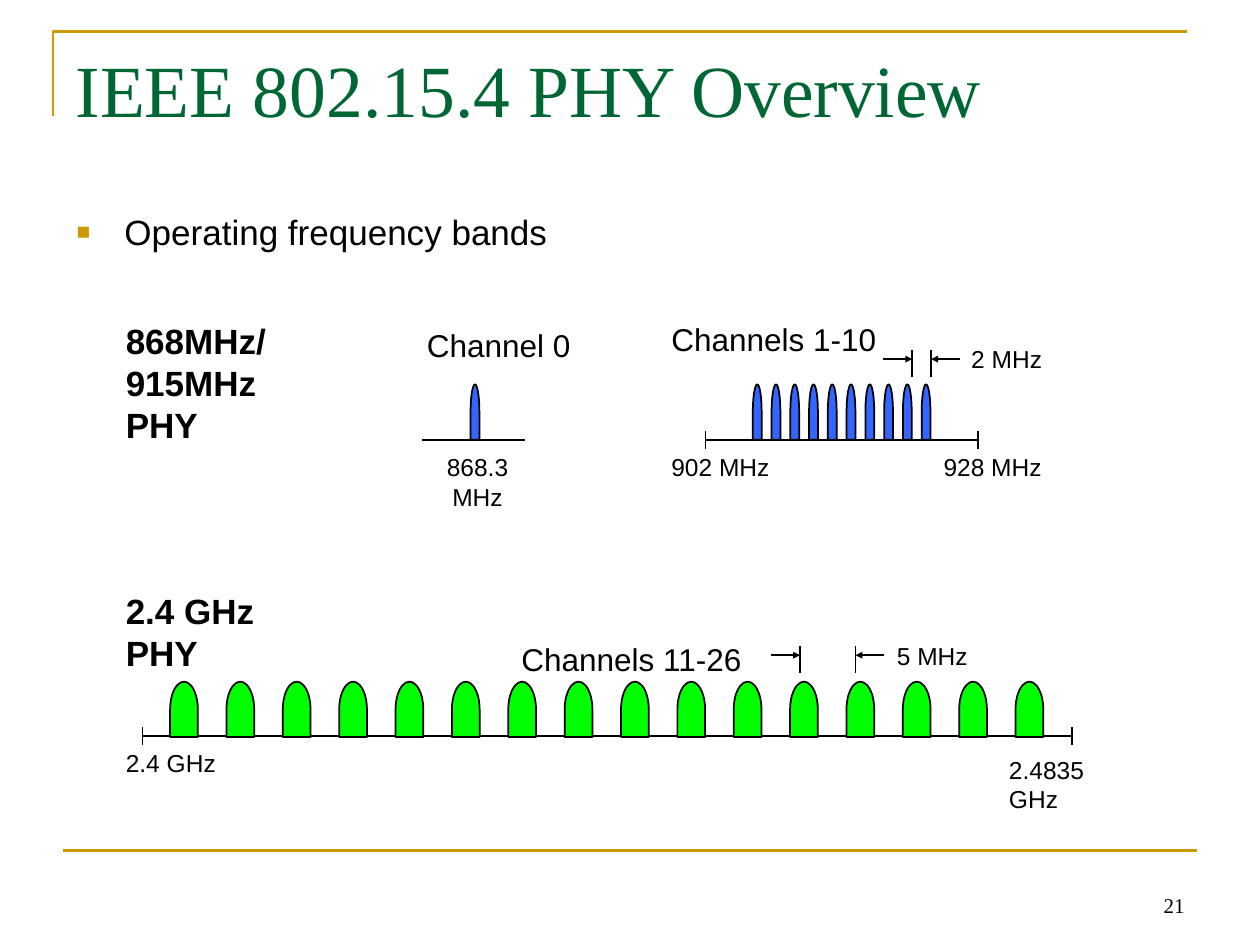
from lxml.etree import SubElement as Sub
from pptx import Presentation
from pptx.dml.color import RGBColor as RGB
from pptx.enum.shapes import MSO_CONNECTOR as CONN, MSO_SHAPE as SHAPE
from pptx.enum.text import MSO_ANCHOR as ANCHOR, PP_ALIGN as ALIGN
from pptx.oxml.ns import qn
from pptx.util import Inches, Pt

THEME = {
    "ink": "000000", "gold": "CC9900", "title": "006633",
    "low": "3366FF", "high": "00FF00",
    "sans": "Arial", "serif": "Times New Roman",
    "head": 42, "body": 20, "band": 18, "note": 14, "page": 12,
    "thin": 1, "rule": 1.5,
}

TITLE = "IEEE 802.15.4 PHY Overview"
POINT = "Operating frequency bands"
NAMES = [
    ("868MHz/\n915MHz\nPHY", (0.9, 2.49, 2.83, 1.1)),
    ("2.4 GHz\nPHY", (0.9, 4.63, 1.27, 0.77)),
]
BANDS = [
    ("Channel 0", (3.29, 2.54, 1.4, 0.4)),
    ("Channels 1-10", (5.23, 2.49, 1.9, 0.4)),
    ("Channels 11-26", (4.04, 5.03, 2.05, 0.4)),
]
NOTES = [
    ("902 MHz", (5.23, 3.54, 1.1, 0.33)),
    ("928 MHz", (7.39, 3.54, 1.1, 0.33)),
    ("2 MHz", (7.61, 2.68, 0.9, 0.33)),
    ("2.4 GHz", (0.9, 5.89, 1.05, 0.33)),
    ("5 MHz", (7.02, 5.04, 0.9, 0.33)),
    ("2.4835 GHz", (7.91, 5.94, 1.1, 0.56)),
]
AXES = [(3.35, 4.17, 3.49, False), (5.6, 7.76, 3.49, True), (1.13, 8.51, 5.84, True)]
PEAKS = [
    (1, 3.77, 3.77, 3.27, 0.07, "low"),
    (10, 6.01, 7.35, 3.27, 0.07, "low"),
    (16, 1.46, 8.17, 5.63, 0.22, "high"),
]
GAPS = [(7.24, 7.39, 2.85), (6.35, 6.79, 5.2)]
TALL, TICK, REACH = 0.44, 0.07, 0.23


def tint(name):
    return RGB.from_string(THEME[name])


def place(shape, box):
    for key, val in zip(("left", "top", "width", "height"), box):
        setattr(shape, key, Inches(val))


def write(shape, text, size, align=ALIGN.LEFT, face="sans",
          color="ink", bold=False, anchor=ANCHOR.TOP):
    frame = shape.text_frame
    frame.text = text
    for key, val in {"word_wrap": True, "vertical_anchor": anchor}.items():
        setattr(frame, key, val)
    form = {"name": THEME[face], "size": Pt(THEME[size]), "bold": bold}
    for para in frame.paragraphs:
        para.alignment = align
        for run in para.runs:
            for key, val in form.items():
                setattr(run.font, key, val)
            run.font.color.rgb = tint(color)


def label(slide, text, box, size, **form):
    shape = slide.shapes.add_textbox(*map(Inches, box))
    write(shape, text, size, **form)
    return shape


def line(slide, x1, y1, x2, y2, color="ink", width="thin", arrow=False):
    item = slide.shapes.add_connector(CONN.STRAIGHT, *map(Inches, (x1, y1, x2, y2)))
    item.line.color.rgb = tint(color)
    item.line.width = Pt(THEME[width])
    props = item._element.spPr
    if arrow:
        Sub(props.find(qn("a:ln")), qn("a:tailEnd"), type="triangle", w="sm", len="sm")
    Sub(props, qn("a:effectLst"))


def peak(slide, mid, level, wide, color):
    box = (mid - TALL / 2, level - wide / 2, TALL, wide)
    shape = slide.shapes.add_shape(SHAPE.FLOWCHART_DELAY, *map(Inches, box))
    shape.rotation = 270
    shape.shadow.inherit = False
    shape.fill.solid()
    shape.fill.fore_color.rgb = tint(color)
    shape.line.color.rgb = tint("ink")
    shape.line.width = Pt(THEME["thin"])


def frame(slide):
    build = slide.shapes.build_freeform(Inches(0.42), Inches(0.92))
    build.add_line_segments(
        [(Inches(0.42), Inches(0.25)), (Inches(9.42), Inches(0.25))], close=False)
    edge = build.convert_to_shape()
    edge.shadow.inherit = False
    edge.fill.background()
    edge.line.color.rgb = tint("gold")
    edge.line.width = Pt(THEME["rule"])
    line(slide, 0.5, 6.75, 9.5, 6.75, "gold", "rule")
    label(slide, "21", (7.17, 6.83, 2.33, 0.5), "page",
          align=ALIGN.RIGHT, face="serif", anchor=ANCHOR.BOTTOM)


def bullet(slide):
    shape = label(slide, POINT, (0.51, 1.62, 8.5, 0.5), "body")
    para = shape.text_frame.paragraphs[0]
    para.space_before = Pt(4)
    props = para._p.get_or_add_pPr()
    props.set("marL", str(Inches(0.38)))
    props.set("indent", str(Inches(-0.38)))
    Sub(Sub(props, qn("a:buClr")), qn("a:srgbClr"), val=THEME["gold"])
    Sub(props, qn("a:buSzPct"), val="65000")
    Sub(props, qn("a:buFont"), typeface=THEME["sans"])
    Sub(props, qn("a:buChar"), char="■")


def chart(slide):
    for left, right, level, ends in AXES:
        line(slide, left, level, right, level)
        for x in (left, right) if ends else ():
            line(slide, x, level - TICK, x, level + TICK)
    for count, first, last, level, wide, color in PEAKS:
        step = (last - first) / max(count - 1, 1)
        for i in range(count):
            peak(slide, first + i * step, level, wide, color)
    for left, right, level in GAPS:
        for x, start in ((left, left - REACH), (right, right + REACH)):
            line(slide, x, level - TICK, x, level + 2 * TICK)
            line(slide, start, level, x, level, arrow=True)


def main():
    deck = Presentation()
    deck.slide_width, deck.slide_height = Inches(10), Inches(7.5)
    slide = deck.slides.add_slide(deck.slide_layouts[5])
    frame(slide)
    head = slide.shapes.title
    place(head, (0.5, 0.3, 9, 1.25))
    write(head, TITLE, "head", face="serif", color="title")
    bullet(slide)
    chart(slide)
    for text, box in NAMES:
        label(slide, text, box, "body", bold=True)
    for size, items in (("band", BANDS), ("note", NOTES)):
        for text, box in items:
            label(slide, text, box, size)
    label(slide, "868.3 MHz", (3.29, 3.54, 1, 0.56), "note", align=ALIGN.CENTER)
    deck.save("out.pptx")


if __name__ == "__main__":
    main()
